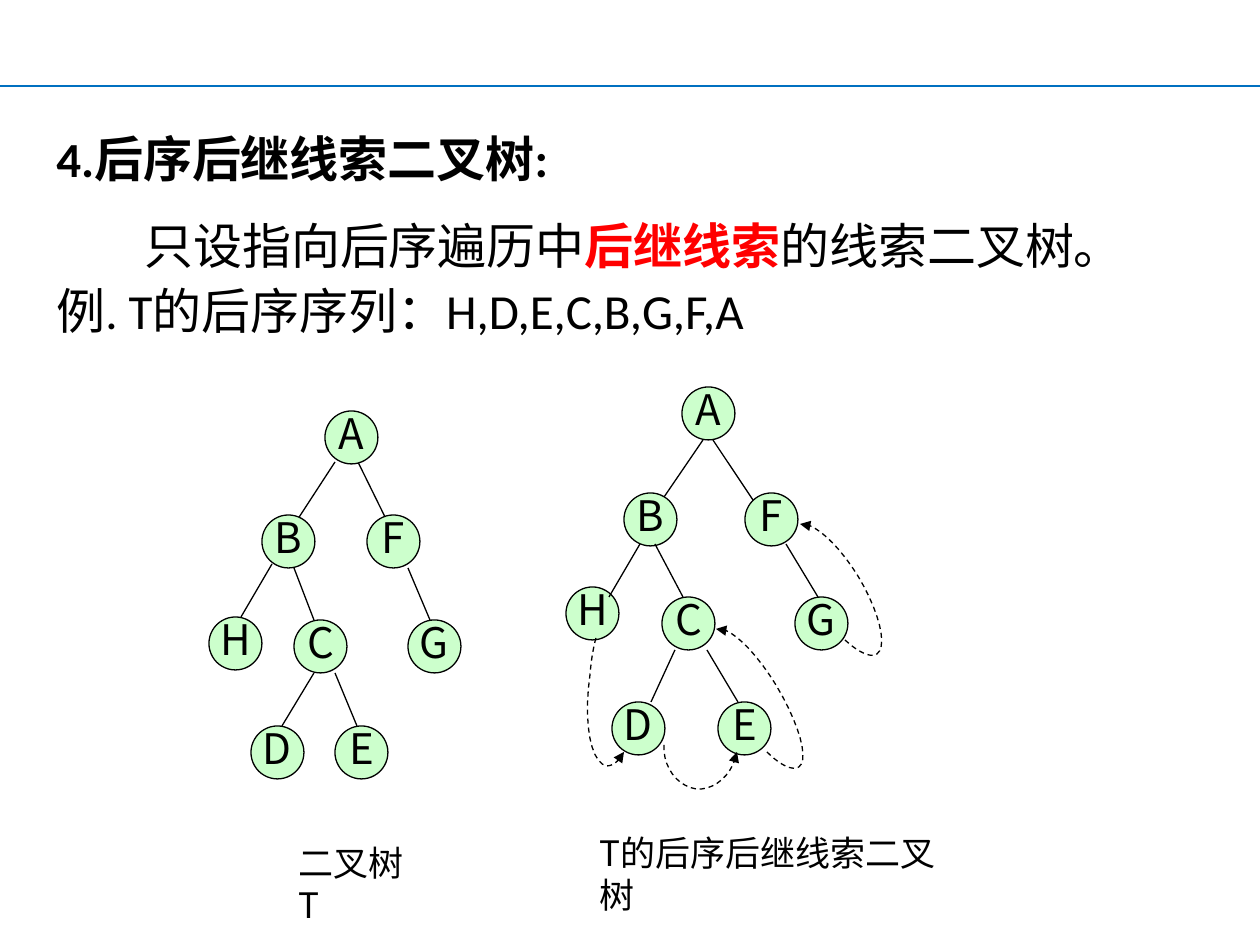
from lxml.etree import SubElement
from pptx import Presentation
from pptx.dml.color import RGBColor
from pptx.enum.dml import MSO_LINE
from pptx.enum.shapes import MSO_CONNECTOR, MSO_SHAPE
from pptx.enum.text import MSO_ANCHOR, PP_ALIGN
from pptx.oxml.ns import qn
from pptx.util import Emu, Inches, Pt

SCALE = Inches(1) // 126
COLORS = {"rule": "0070C0", "ink": "000000", "node": "CCFFCC", "accent": "FF0000"}
NODE_SIZE = 53
BODY_FONT, TREE_FONT = "Calibri", "Noto Sans CJK SC"

BODY = [
    ({"space_after": Pt(13)}, 0, [("4.后序后继线索二叉树:", True, "ink")]),
    ({}, 88, [("只设指向后序遍历中", False, "ink"), ("后继线索", True, "accent"),
              ("的线索二叉树。", False, "ink")]),
    ({}, 0, [("例. T的后序序列：H,D,E,C,B,G,F,A", False, "ink")]),
]
PLAIN_TREE = {
    "nodes": {"A": (116, 0), "B": (53, 104), "F": (158, 104), "H": (0, 206),
              "C": (85, 209), "G": (199, 209), "D": (42, 315), "E": (126, 315)},
    "edges_below": [(126, 51, 85, 114), (148, 49, 179, 112)],
    "edges_above": [(199, 157, 221, 209), (105, 262, 73, 315), (85, 157, 105, 209),
                    (126, 262, 148, 315), (63, 153, 32, 206)],
    "threads": [],
    "caption": ("二叉树T", 77, 424, 147),
}
THREADED_TREE = {
    "nodes": {"A": (116, 0), "B": (58, 106), "F": (179, 106), "H": (0, 200),
              "C": (96, 210), "G": (229, 210), "D": (46, 315), "E": (152, 315)},
    "edges_below": [(137, 53, 94, 116), (147, 53, 189, 116)],
    "edges_above": [(220, 157, 252, 210), (109, 263, 85, 315), (89, 157, 117, 210),
                    (141, 263, 172, 315), (74, 157, 43, 210)],
    "threads": [
        [(98, 358), (97, 380), (111, 399), (130, 402), (148, 404), (167, 388), (171, 365)],
        [(201, 365), (215, 379), (227, 384), (233, 380), (243, 373), (234, 338), (210, 298),
         (189, 264), (164, 239), (150, 242)],
        [(279, 253), (293, 266), (305, 271), (311, 267), (322, 259), (313, 224), (292, 189),
         (272, 157), (248, 135), (234, 137)],
        [(30, 251), (27, 262), (25, 275), (24, 288), (17, 336), (25, 377), (41, 379),
         (46, 379), (53, 375), (58, 365)],
    ],
    "caption": ("T的后序后继线索二叉树", 21, 438, 392),
}


def px(value):
    """Turn px into EMU."""
    return Emu(round(value * SCALE))


def color(name):
    """Look up a named colour."""
    return RGBColor.from_string(COLORS[name])


def apply_format(target, values):
    """Set each attribute from a dict of format values."""
    for name, value in values.items():
        setattr(target, name, value)


def add_run(paragraph, text, font_name, size, bold=False, color_name="ink"):
    """Add a run with one font for Latin and East Asian text."""
    run = paragraph.add_run()
    run.text = text
    apply_format(run.font, {"name": font_name, "size": Pt(size), "bold": bold})
    run.font.color.rgb = color(color_name)
    SubElement(run.font._element, qn("a:ea"), typeface=font_name)


def add_text_frame(slide, left, top, width, height):
    """Add a wrapping text box and return its frame."""
    frame = slide.shapes.add_textbox(*map(px, (left, top, width, height))).text_frame
    frame.word_wrap = True
    return frame


def add_line(slide, start_x, start_y, end_x, end_y, color_name="ink", width=0.75):
    """Add a straight line without shadow."""
    line = slide.shapes.add_connector(
        MSO_CONNECTOR.STRAIGHT, *map(px, (start_x, start_y, end_x, end_y)))
    line.line.color.rgb = color(color_name)
    line.line.width = Pt(width)
    SubElement(line._element.spPr, qn("a:effectLst"))


def add_node(slide, left, top, letter):
    """Add a round tree node with its letter."""
    node = slide.shapes.add_shape(
        MSO_SHAPE.OVAL, *map(px, (left, top, NODE_SIZE, NODE_SIZE)))
    node.shadow.inherit = False
    node.fill.solid()
    node.fill.fore_color.rgb = color("node")
    node.line.color.rgb = color("ink")
    node.line.width = Pt(0.75)
    apply_format(node.text_frame, {
        "word_wrap": False, "vertical_anchor": MSO_ANCHOR.MIDDLE,
        "margin_left": 0, "margin_right": 0, "margin_top": 0, "margin_bottom": 0})
    paragraph = node.text_frame.paragraphs[0]
    apply_format(paragraph, {"alignment": PP_ALIGN.CENTER, "line_spacing": 0.8})
    add_run(paragraph, letter, TREE_FONT, 24)


def curve_points(controls, steps=10):
    """Sample a chain of cubic curves that share their end points."""
    points = [controls[0]]
    for first in range(0, len(controls) - 1, 3):
        for step in range(1, steps + 1):
            t = step / steps
            weights = ((1 - t) ** 3, 3 * t * (1 - t) ** 2, 3 * t * t * (1 - t), t ** 3)
            segment = controls[first:first + 4]
            points.append(tuple(sum(weight * point[axis] for weight, point
                                    in zip(weights, segment)) for axis in (0, 1)))
    return points


def add_thread(slide, left, top, controls):
    """Add a dashed curved arrow to the successor node."""
    points = [(px(left + x), px(top + y)) for x, y in curve_points(controls)]
    builder = slide.shapes.build_freeform(*points[0])
    builder.add_line_segments(points[1:], close=False)
    thread = builder.convert_to_shape()
    thread.shadow.inherit = False
    thread.fill.background()
    thread.line.color.rgb = color("ink")
    apply_format(thread.line, {"width": Pt(0.75), "dash_style": MSO_LINE.DASH})
    SubElement(thread.line._get_or_add_ln(), qn("a:tailEnd"), type="triangle")


def add_body(slide, left, top, width, height):
    """Add the heading, the definition and the example."""
    frame = add_text_frame(slide, left, top, width, height)
    for index, (spacing, indent, runs) in enumerate(BODY):
        paragraph = frame.add_paragraph() if index else frame.paragraphs[0]
        apply_format(paragraph, {"line_spacing": Pt(37), **spacing})
        paragraph._p.get_or_add_pPr().set("indent", str(px(indent)))
        for text, bold, color_name in runs:
            add_run(paragraph, text, BODY_FONT, 28, bold, color_name)


def add_tree(slide, left, top, tree):
    """Add a tree with its edges, threads and caption."""
    def add_edges(edges):
        """Add edges relative to the tree box."""
        for x1, y1, x2, y2 in edges:
            add_line(slide, left + x1, top + y1, left + x2, top + y2)

    add_edges(tree["edges_below"])
    for letter, (x, y) in tree["nodes"].items():
        add_node(slide, left + x, top + y, letter)
    add_edges(tree["edges_above"])
    for controls in tree["threads"]:
        add_thread(slide, left, top, controls)
    text, x, y, width = tree["caption"]
    paragraph = add_text_frame(slide, left + x, top + y, width, 54).paragraphs[0]
    paragraph.line_spacing = Pt(24)
    add_run(paragraph, text, TREE_FONT, 20)


def main():
    """Build and save the slide."""
    presentation = Presentation()
    apply_format(presentation, {"slide_width": px(1260), "slide_height": px(945)})
    slide = presentation.slides.add_slide(presentation.slide_layouts[6])
    add_line(slide, 0, 86, 1260, 86, "rule", 1.5)
    add_body(slide, 44, 116, 1147, 228)
    add_tree(slide, 209, 411, PLAIN_TREE)
    add_tree(slide, 566, 387, THREADED_TREE)
    presentation.save("out.pptx")


if __name__ == "__main__":
    main()
